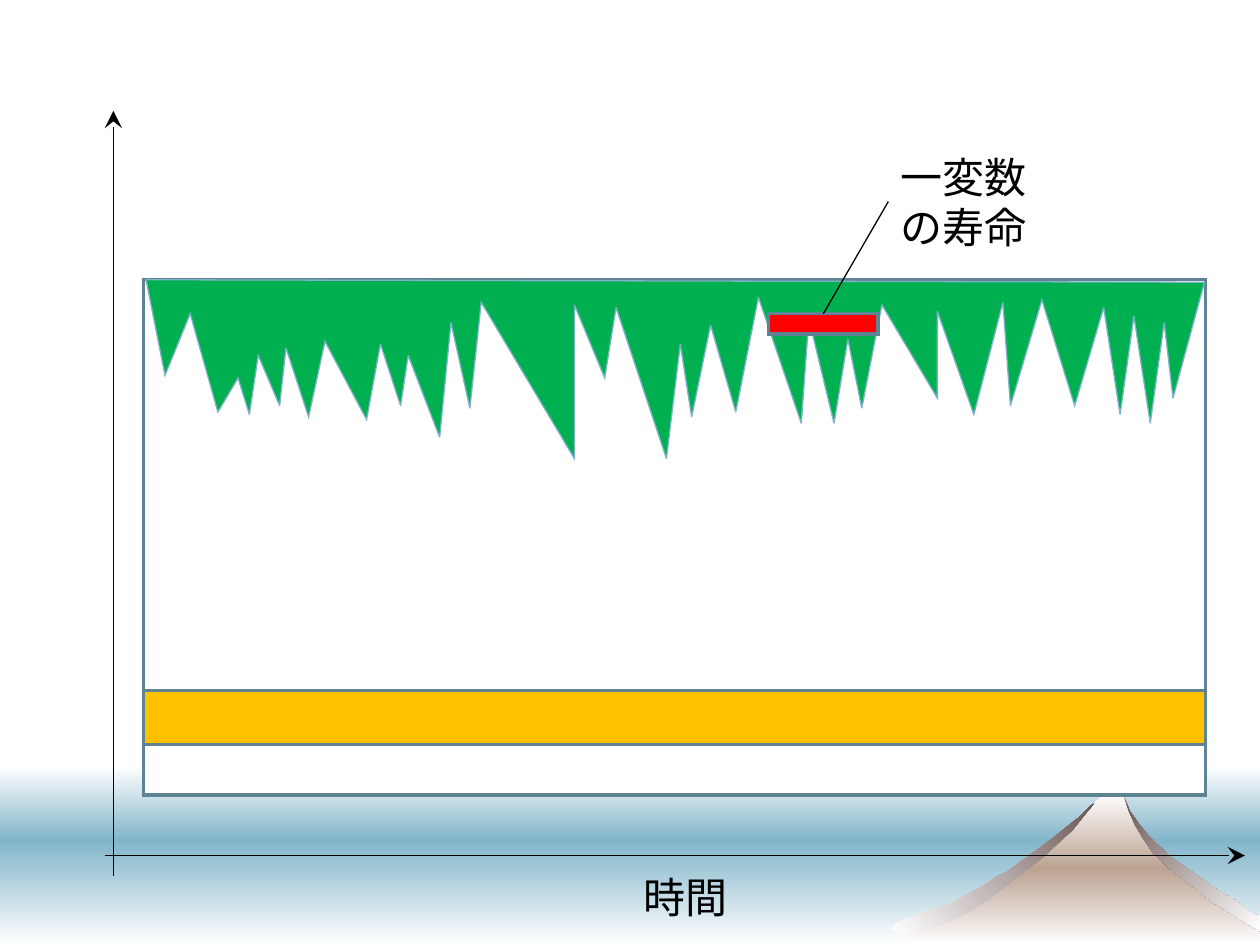
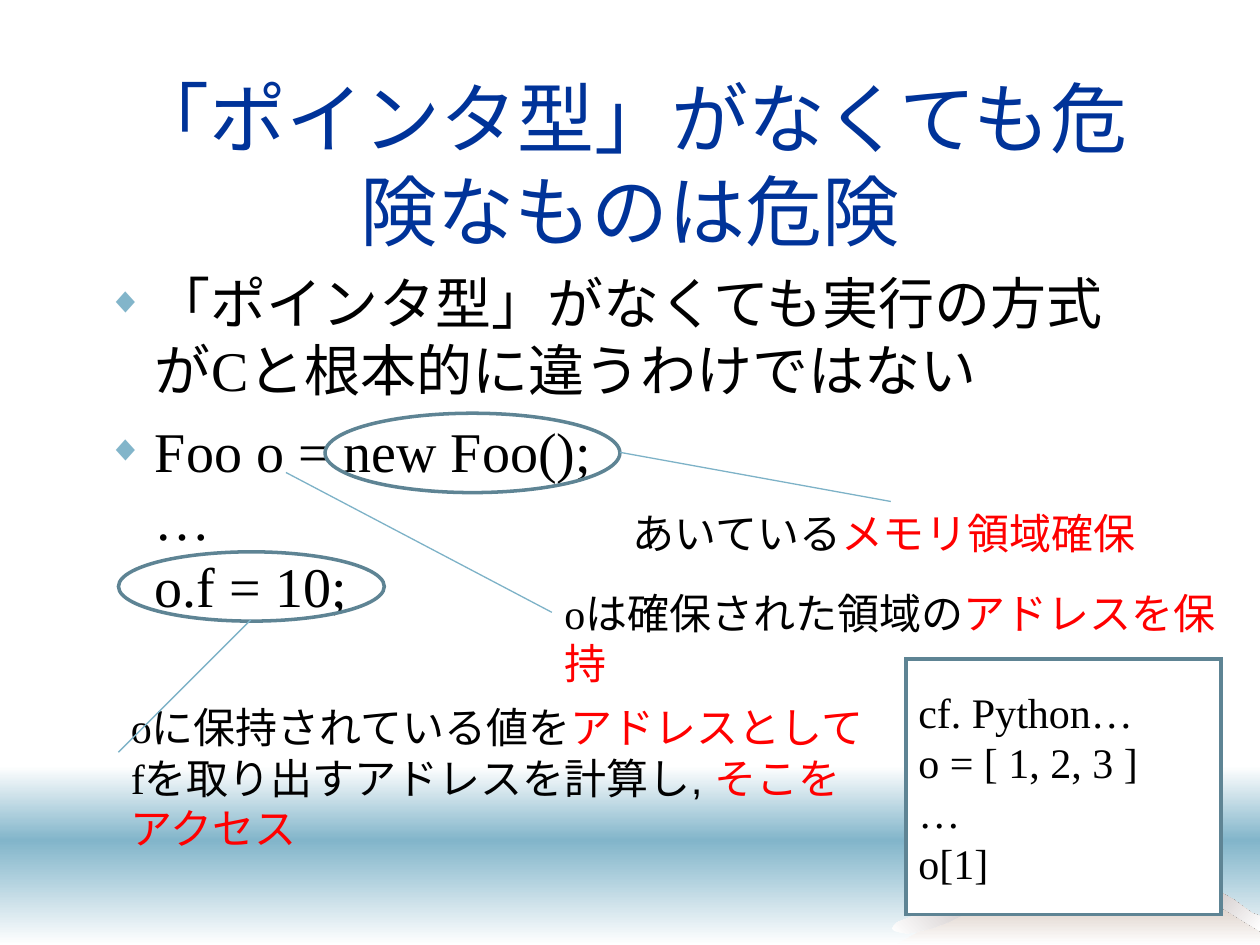
import lxml.etree
import pptx
import pptx.dml.color
import pptx.enum.dml
import pptx.enum.lang
import pptx.enum.shapes
import pptx.enum.text
import pptx.oxml.ns
import pptx.util

Inches = pptx.util.Inches
Pt = pptx.util.Pt
RGBColor = pptx.dml.color.RGBColor
SHAPE = pptx.enum.shapes.MSO_SHAPE
ANCHOR = pptx.enum.text.MSO_ANCHOR
ALIGN = pptx.enum.text.PP_ALIGN
qn = pptx.oxml.ns.qn

BLACK = RGBColor(0x00, 0x00, 0x00)
WHITE = RGBColor(0xFF, 0xFF, 0xFF)
RED = RGBColor(0xFF, 0x00, 0x00)
GREEN = RGBColor(0x00, 0xB0, 0x50)
AMBER = RGBColor(0xFF, 0xC0, 0x00)
NAVY = RGBColor(0x00, 0x33, 0x99)
OUTLINE = RGBColor(0x5E, 0x84, 0x94)
THIN_BLUE = RGBColor(0x7D, 0xB2, 0xC7)
SEA = RGBColor(0x82, 0xB5, 0xCA)
SAND = RGBColor(0xBC, 0xA3, 0x92)
ROCK = RGBColor(0x6B, 0x56, 0x53)

SANS = "Arial"
SERIF = "Times New Roman"

MOUNTAIN = [
    (7.11, 7.5), (7.9, 7.05), (8.4, 6.66), (8.69, 6.37), (8.75, 6.31),
    (8.8, 6.29), (8.86, 6.29), (8.91, 6.31), (9.03, 6.57), (9.22, 6.8),
    (9.68, 7.12), (10, 7.33), (10, 7.5),
]
RIGHT_SLOPE = [
    (9.15, 6.77), (9.31, 6.92), (9.48, 7.05), (9.61, 7.15), (9.9, 7.33),
    (10, 7.39), (10, 7.27), (9.94, 7.25), (9.79, 7.14), (9.7, 7.09),
    (9.29, 6.8), (9.12, 6.64), (9.04, 6.54), (8.97, 6.44), (8.92, 6.32),
    (8.96, 6.44), (9.01, 6.55), (9.07, 6.65),
]
LEFT_SLOPE = [
    (8.32, 6.68), (7.99, 6.92), (7.92, 6.95), (7.82, 7.02), (7.51, 7.19),
    (7.35, 7.23), (7.2, 7.29), (7.12, 7.32), (7.09, 7.35), (7.08, 7.37),
    (7.1, 7.39), (7.14, 7.4), (7.2, 7.41), (7.3, 7.39), (7.39, 7.37),
    (7.5, 7.33), (7.69, 7.24), (7.8, 7.17), (7.86, 7.13), (8.27, 6.81),
    (8.51, 6.59), (8.64, 6.43), (8.68, 6.38), (8.65, 6.4), (8.56, 6.49),
]
STACK_USAGE = [
    (1.16, 2.22), (1.31, 2.98), (1.51, 2.49), (1.73, 3.27), (1.89, 3),
    (1.98, 3.29), (2.05, 2.82), (2.22, 3.22), (2.27, 2.76), (2.45, 3.31),
    (2.58, 2.71), (2.91, 3.33), (3.02, 2.73), (3.18, 3.22), (3.24, 2.82),
    (3.49, 3.47), (3.58, 2.56), (3.73, 3.24), (3.82, 2.4), (4.56, 3.64),
    (4.56, 2.42), (4.8, 3), (4.89, 2.44), (5.29, 3.64), (5.4, 2.73),
    (5.49, 3.31), (5.64, 2.58), (5.84, 3.27), (6.02, 2.36), (6.36, 3.36),
    (6.42, 2.53), (6.62, 3.36), (6.73, 2.69), (6.84, 3.24), (7, 2.42),
    (7.44, 3.16), (7.44, 2.47), (7.73, 3.29), (7.96, 2.4), (8.02, 3.22),
    (8.27, 2.38), (8.53, 3.22), (8.76, 2.44), (8.89, 3.29), (9, 2.51),
    (9.13, 3.36), (9.24, 2.56), (9.31, 3.16), (9.56, 2.24),
]


def style_shape(shape, fill, line, width=2):
    shape.shadow.inherit = False
    if fill is None:
        shape.fill.background()
    else:
        shape.fill.solid()
        shape.fill.fore_color.rgb = fill
    shape.line.color.rgb = line
    shape.line.width = Pt(width)
    stroke = shape.element.spPr.find(qn("a:ln"))
    lxml.etree.SubElement(stroke, qn("a:miter"), lim="800000")


def add_preset(slide, kind, left, top, width, height, fill=None):
    shape = slide.shapes.add_shape(
        kind, Inches(left), Inches(top), Inches(width), Inches(height))
    style_shape(shape, fill, OUTLINE)
    return shape


def add_outline(slide, corners):
    points = [(Inches(x), Inches(y)) for x, y in corners]
    builder = slide.shapes.build_freeform(*points[0])
    builder.add_line_segments(points[1:], close=True)
    return builder.convert_to_shape()


def paint_gradient(shape, colors, angle):
    shape.shadow.inherit = False
    shape.line.fill.background()
    shape.fill.gradient()
    shape.fill.gradient_angle = 360 - angle
    stops = shape.element.spPr.find(".//" + qn("a:gsLst"))
    for stop in list(stops):
        stops.remove(stop)
    for index, color in enumerate(colors):
        position = 100000 * index // (len(colors) - 1)
        stop = lxml.etree.SubElement(stops, qn("a:gs"), pos=str(position))
        lxml.etree.SubElement(stop, qn("a:srgbClr"), val=str(color))


def add_scenery(deck, slide):
    sky = add_preset(slide, SHAPE.RECTANGLE, 0, 6.08, 10, 0.59)
    water = add_preset(slide, SHAPE.RECTANGLE, 0, 6.67, 10, 0.83)
    paint_gradient(sky, [WHITE, SEA], 90)
    paint_gradient(water, [SEA, WHITE], 90)
    scenery = [sky, water]
    for corners, colors, angle in [
            (MOUNTAIN, [WHITE, SAND, WHITE], 90),
            (RIGHT_SLOPE, [ROCK, WHITE], 45),
            (LEFT_SLOPE, [WHITE, ROCK], 315)]:
        part = add_outline(slide, corners)
        paint_gradient(part, colors, angle)
        scenery.append(part)
    for number, part in enumerate(scenery, 101):
        part.element.nvSpPr.cNvPr.set("id", str(number))
        deck.slide_master.shapes.element.append(part.element)


def add_line(slide, start, end, color, arrow=False):
    line = slide.shapes.add_connector(
        pptx.enum.shapes.MSO_CONNECTOR.STRAIGHT,
        Inches(start[0]), Inches(start[1]), Inches(end[0]), Inches(end[1]))
    line.line.color.rgb = color
    line.line.width = Pt(0.75)
    if arrow:
        stroke = line.element.spPr.find(qn("a:ln"))
        lxml.etree.SubElement(
            stroke, qn("a:tailEnd"), type="stealth", w="lg", len="lg")
    lxml.etree.SubElement(line.element.spPr, qn("a:effectLst"))
    return line


def add_span(para, text, font=SANS, color=BLACK, size=24):
    for index, piece in enumerate(text.split("\n")):
        if index:
            para.add_line_break()
        span = para.add_run()
        span.text = piece
        span.font.name = font
        span.font.size = Pt(size)
        span.font.color.rgb = color
        span.font.language_id = pptx.enum.lang.MSO_LANGUAGE_ID.JAPANESE
        lxml.etree.SubElement(
            span.font._element, qn("a:ea"), typeface=SANS)


def write_paragraphs(frame, paragraphs):
    for index, spans in enumerate(paragraphs):
        para = frame.add_paragraph() if index else frame.paragraphs[0]
        para.alignment = ALIGN.LEFT
        for span in spans:
            add_span(para, *span)


def add_label(slide, left, top, width, height, paragraphs, wrap=True):
    box = slide.shapes.add_textbox(
        Inches(left), Inches(top), Inches(width), Inches(height))
    box.text_frame.word_wrap = wrap
    box.text_frame.auto_size = pptx.enum.text.MSO_AUTO_SIZE.SHAPE_TO_FIT_TEXT
    write_paragraphs(box.text_frame, paragraphs)
    return box


def place_placeholder(holder, top, height, anchor):
    holder.left, holder.top = Inches(0.75), Inches(top)
    holder.width, holder.height = Inches(8.5), Inches(height)
    holder.text_frame.auto_size = pptx.enum.text.MSO_AUTO_SIZE.NONE
    holder.text_frame.word_wrap = True
    holder.text_frame.vertical_anchor = anchor


def set_title(slide, text):
    title = slide.shapes.title
    place_placeholder(title, 0.67, 1.25, ANCHOR.MIDDLE)
    para = title.text_frame.paragraphs[0]
    para.alignment = ALIGN.CENTER
    add_span(para, text, SERIF, NAVY, 44)


def set_bullets(slide, items):
    body = slide.placeholders[1]
    place_placeholder(body, 2.08, 4.5, ANCHOR.TOP)
    write_paragraphs(body.text_frame,
                     [[(item, SERIF, BLACK, 32)] for item in items])
    for index, para in enumerate(body.text_frame.paragraphs):
        para.space_before = Pt(8 if index else 0)
        settings = para._p.get_or_add_pPr()
        settings.set("marL", str(Inches(0.38)))
        settings.set("indent", str(-Inches(0.38)))
        color = lxml.etree.SubElement(settings, qn("a:buClr"))
        lxml.etree.SubElement(color, qn("a:srgbClr"), val=str(SEA))
        lxml.etree.SubElement(settings, qn("a:buSzPct"), val="65000")
        lxml.etree.SubElement(settings, qn("a:buChar"), char="◆")


def build_lifetime_slide(slide):
    add_preset(slide, SHAPE.RECTANGLE, 1.14, 2.22, 8.43, 4.09, WHITE)
    add_preset(slide, SHAPE.RECTANGLE, 1.14, 5.48, 8.43, 0.43, AMBER)
    add_line(slide, (0.83, 6.79), (9.88, 6.79), BLACK, arrow=True)
    add_line(slide, (0.9, 6.95), (0.9, 0.88), BLACK, arrow=True)
    add_label(slide, 5.01, 6.87, 1, 0.5, [[("時間",)]])
    usage = add_outline(slide, STACK_USAGE)
    style_shape(usage, GREEN, THIN_BLUE, 0.75)
    variable = add_preset(slide, SHAPE.RECTANGLE, 6.1, 2.49, 0.87, 0.16, RED)
    label = add_label(slide, 7.05, 1.15, 1.3, 0.9,
                      [[("一変数",)], [("の寿命",)]])
    pointer = add_line(slide, (7.05, 1.6), (6.54, 2.49), BLACK)
    pointer.begin_connect(label, 1)
    pointer.end_connect(variable, 0)


def build_pointer_slide(slide):
    set_title(slide, "「ポインタ型」がなくても危険なものは危険")
    set_bullets(slide, [
        "「ポインタ型」がなくても実行の方式がCと根本的に違うわけではない",
        "Foo o = new Foo();\n…\no.f = 10;",
    ])
    allocation = add_label(slide, 4.92, 3.98, 4.3, 0.5, [
        [("あいている",), ("メモリ領域確保", SANS, RED)]])
    add_preset(slide, SHAPE.OVAL, 2.58, 3.28, 2.34, 0.63)
    pointer = add_line(slide, (4.92, 3.59), (7.07, 3.98), THIN_BLUE)
    pointer.end_connect(allocation, 0)
    add_label(slide, 0.94, 5.52, 6.02, 1.3, [[
        ("o", SERIF), ("に保持されている値を",),
        ("アドレスとして", SANS, RED), ("f", SERIF),
        ("を取り出すアドレスを計算し, ",), ("そこをアクセス", SANS, RED)]])
    add_label(slide, 4.38, 4.61, 5.62, 0.9, [[
        ("o", SERIF), ("は確保された領域の",), ("アドレスを保持", SANS, RED)]])
    add_line(slide, (2.27, 3.75), (4.38, 4.86), THIN_BLUE)
    add_preset(slide, SHAPE.OVAL, 0.94, 4.38, 2.11, 0.55)
    add_line(slide, (1.99, 4.92), (0.94, 5.97), THIN_BLUE)
    note = add_preset(slide, SHAPE.RECTANGLE, 7.19, 5.23, 2.5, 2.03, WHITE)
    note.text_frame.word_wrap = True
    note.text_frame.vertical_anchor = ANCHOR.MIDDLE
    write_paragraphs(note.text_frame, [
        [("cf. Python…", SERIF)],
        [("o = [ 1, 2, 3 ]\n…\no[1]", SERIF)]])


def main():
    deck = pptx.Presentation()
    deck.slide_width = Inches(10)
    deck.slide_height = Inches(7.5)
    lifetime = deck.slides.add_slide(deck.slide_layouts[6])
    add_scenery(deck, lifetime)
    build_lifetime_slide(lifetime)
    build_pointer_slide(deck.slides.add_slide(deck.slide_layouts[1]))
    deck.save("out.pptx")


if __name__ == "__main__":
    main()
